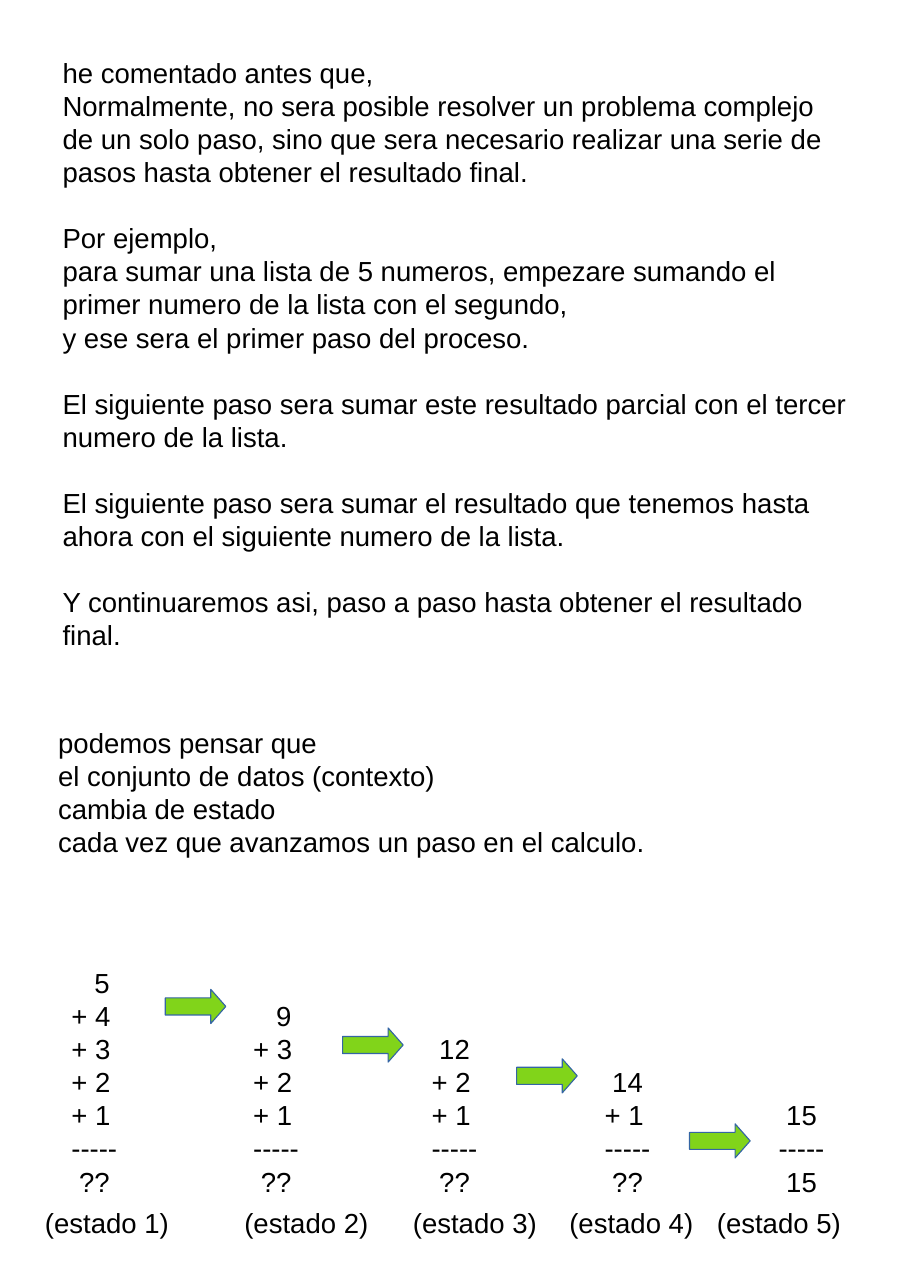
from dataclasses import dataclass

import pptx
import pptx.dml.color
import pptx.enum.shapes
import pptx.enum.text
import pptx.util

COLORS = {"text": "000000", "arrow": "81D41A", "outline": "3465A4"}
FONT_SIZE = 18
LINE_HEIGHT = 0.3
SPACE_WIDTH = 5
COLUMN_BOTTOM = 10.82
LABEL_TOP = 10.9


@dataclass(frozen=True)
class Line:
    text: str
    gap_before: float = 0
    indent: float = 0


@dataclass(frozen=True)
class State:
    left: float
    label_left: float
    total: int
    pending: tuple[int, ...]


@dataclass(frozen=True)
class Arrow:
    left: float
    top: float


PARAGRAPH_GAP = LINE_HEIGHT * 72

EXPLANATION = [
    Line("he comentado antes que,"),
    Line("Normalmente, no sera posible resolver un problema complejo de un solo paso, "
         "sino que sera necesario realizar una serie de pasos hasta obtener el resultado final."),
    Line("Por ejemplo,", PARAGRAPH_GAP),
    Line("para sumar una lista de 5 numeros, empezare sumando el primer numero "
         "de la lista con el segundo,"),
    Line("y ese sera el primer paso del proceso."),
    Line("El siguiente paso sera sumar este resultado parcial con el tercer "
         "numero de la lista.", PARAGRAPH_GAP),
    Line("El siguiente paso sera sumar el resultado que tenemos hasta ahora "
         "con el siguiente numero de la lista.", PARAGRAPH_GAP),
    Line("Y continuaremos asi, paso a paso hasta obtener el resultado final.", PARAGRAPH_GAP),
]

CONTEXT = [
    Line("podemos pensar que"),
    Line("el conjunto de datos (contexto)"),
    Line("cambia de estado"),
    Line("cada vez que avanzamos un paso en el calculo."),
]

STATES = [
    State(0.55, 0.31, 5, (4, 3, 2, 1)),
    State(2.2, 2.12, 9, (3, 2, 1)),
    State(3.82, 3.65, 12, (2, 1)),
    State(5.39, 5.07, 14, (1,)),
    State(6.97, 6.41, 15, ()),
]

ARROWS = [Arrow(1.5, 8.98), Arrow(3.11, 9.33), Arrow(4.69, 9.61), Arrow(6.26, 10.2)]


def rgb(name: str) -> pptx.dml.color.RGBColor:
    return pptx.dml.color.RGBColor.from_string(COLORS[name])


def add_text(slide, left: float, top: float, width: float, height: float,
             lines: list[Line]) -> None:
    box = slide.shapes.add_textbox(*map(pptx.util.Inches, (left, top, width, height)))
    text_frame = box.text_frame
    text_frame.word_wrap = True
    text_frame.auto_size = pptx.enum.text.MSO_AUTO_SIZE.NONE
    text_frame.text = "\n".join(line.text for line in lines)
    for paragraph, line in zip(text_frame.paragraphs, lines):
        paragraph.space_before = pptx.util.Pt(line.gap_before)
        properties = paragraph._p.get_or_add_pPr()
        properties.set("marL", str(pptx.util.Pt(line.indent)))
        for run in paragraph.runs:
            run.font.name = "Arial"
            run.font.size = pptx.util.Pt(FONT_SIZE)
            run.font.color.rgb = rgb("text")


def add_state(slide, number: int, state: State) -> None:
    total_spaces = 3 if state.total < 10 else 1
    result = "??" if state.pending else str(state.total)
    lines = [
        Line(str(state.total), indent=total_spaces * SPACE_WIDTH),
        *(Line(f"+ {value}") for value in state.pending),
        Line("-----"),
        Line(result, indent=SPACE_WIDTH),
    ]
    height = len(lines) * LINE_HEIGHT
    add_text(slide, state.left, COLUMN_BOTTOM - height, 0.8, height + 0.1, lines)
    add_text(slide, state.label_left, LABEL_TOP, 1.57, 0.39, [Line(f"(estado {number})")])


def add_arrow(slide, arrow: Arrow) -> None:
    shape = slide.shapes.add_shape(
        pptx.enum.shapes.MSO_SHAPE.RIGHT_ARROW,
        *map(pptx.util.Inches, (arrow.left, arrow.top, 0.55, 0.31)))
    shape.adjustments[0] = 0.5
    shape.adjustments[1] = 0.44
    shape.shadow.inherit = False
    shape.fill.solid()
    shape.fill.fore_color.rgb = rgb("arrow")
    shape.line.color.rgb = rgb("outline")
    shape.line.width = pptx.util.Pt(0)


def main() -> None:
    presentation = pptx.Presentation()
    presentation.slide_width = pptx.util.Inches(8.27)
    presentation.slide_height = pptx.util.Inches(11.69)
    slide = presentation.slides.add_slide(presentation.slide_layouts[6])
    add_text(slide, 0.47, 0.46, 7.33, 5.14, EXPLANATION)
    add_text(slide, 0.43, 6.54, 7.44, 1.31, CONTEXT)
    for number, state in enumerate(STATES, start=1):
        add_state(slide, number, state)
    for arrow in ARROWS:
        add_arrow(slide, arrow)
    presentation.save("out.pptx")


if __name__ == "__main__":
    main()
